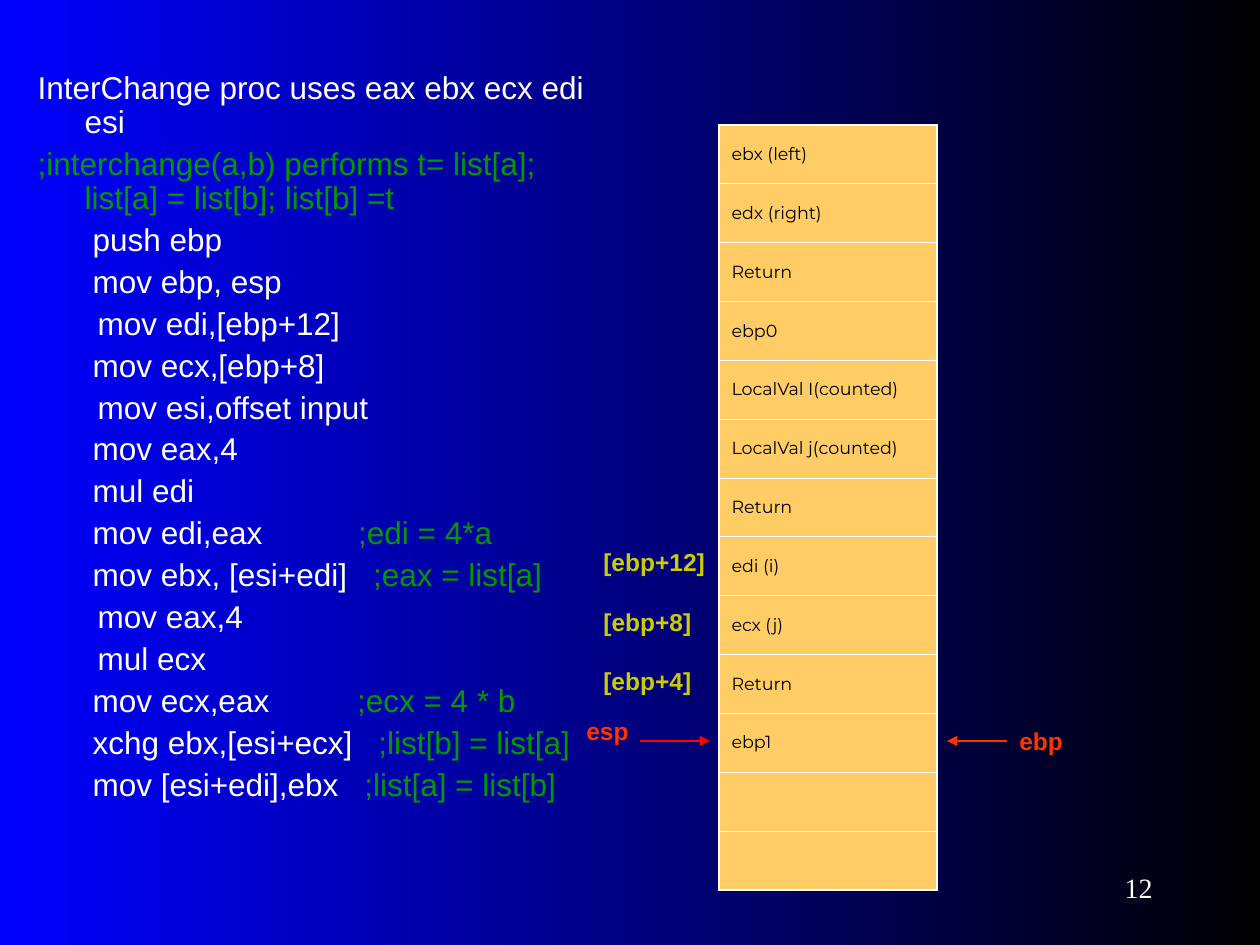
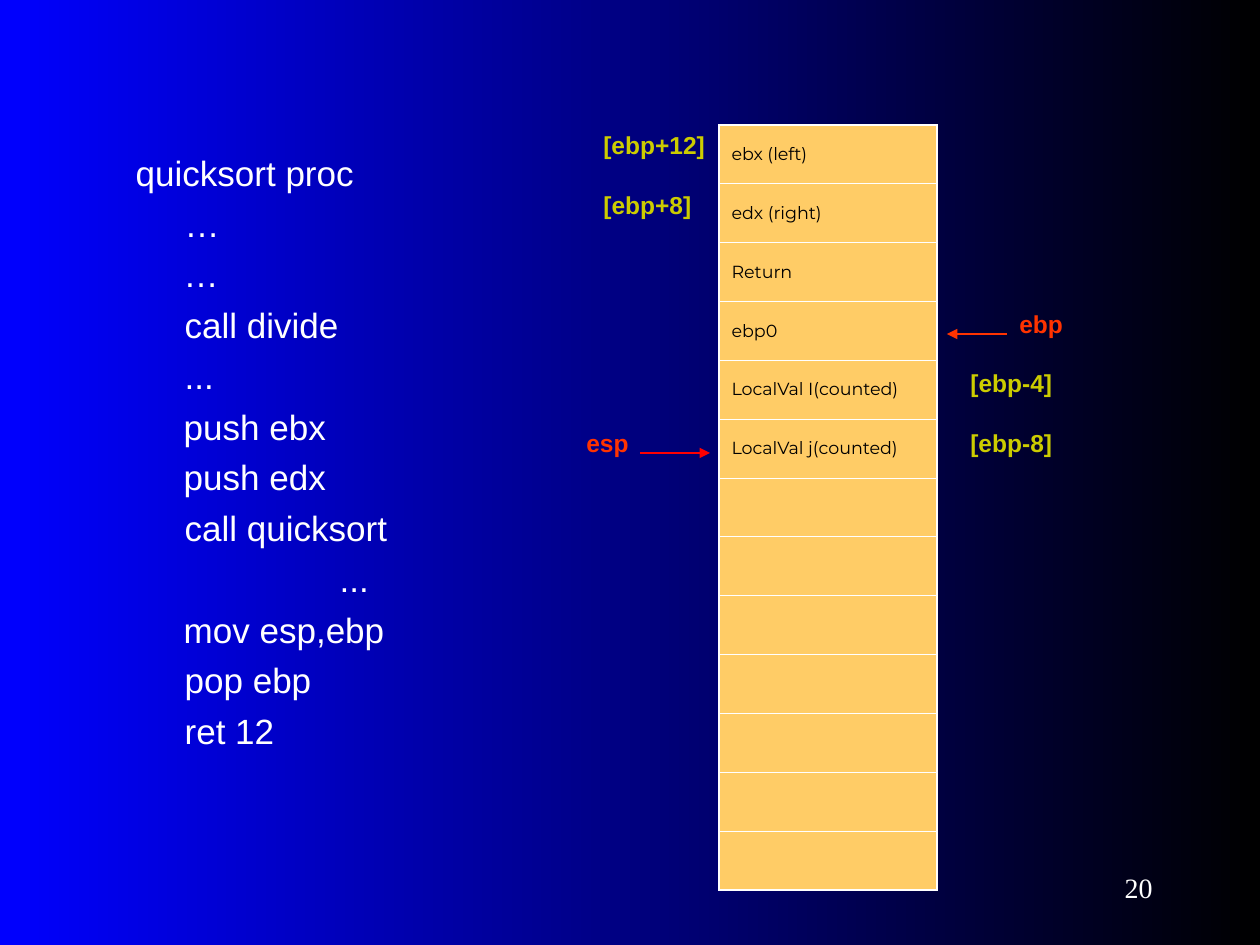
"""Build two slides that trace the call stack of a quicksort program."""
from pptx import Presentation
from pptx.dml.color import RGBColor
from pptx.enum.shapes import MSO_CONNECTOR
from pptx.enum.text import MSO_ANCHOR, MSO_AUTO_SIZE, PP_ALIGN
from pptx.oxml import parse_xml
from pptx.oxml.ns import nsdecls
from pptx.util import Emu, Pt

EMU_PER_PX = 914400 / 126
EMU_PER_SPACING_UNIT = 127
STRAIGHT = MSO_CONNECTOR.STRAIGHT
TOP, MIDDLE = MSO_ANCHOR.TOP, MSO_ANCHOR.MIDDLE
RIGHT = PP_ALIGN.RIGHT
NO_FIT = MSO_AUTO_SIZE.NONE

WHITE, BLACK, BLUE = "FFFFFF", "000000", "0000FF"
GREEN, YELLOW, ORANGE = "009900", "CCCC00", "FFCC66"
RED, VERMILION = "FF0000", "FF3300"

STACK_SIZE = 13
HANG = 47
FRAME = ["ebx (left)", "edx (right)", "Return", "ebp0",
         "LocalVal I(counted)", "LocalVal j(counted)"]
CALL_FRAME = ["Return", "edi (i)", "ecx (j)", "Return", "ebp1"]

INTERCHANGE = [
    (0, "InterChange proc uses eax ebx ecx edi esi"),
    (0, "", ";interchange(a,b) performs t= list[a]; list[a] = list[b]; list[b] =t"),
    (55, "push ebp"),
    (55, "mov ebp, esp"),
    (60, "mov edi,[ebp+12]"),
    (55, "mov ecx,[ebp+8]"),
    (60, "mov esi,offset input"),
    (55, "mov eax,4"),
    (55, "mul edi"),
    (55, "mov edi,eax", ";edi = 4*a", 87),
    (55, "mov ebx, [esi+edi]", ";eax = list[a]", 17),
    (60, "mov eax,4"),
    (60, "mul ecx"),
    (55, "mov ecx,eax", ";ecx = 4 * b", 79),
    (55, "xchg ebx,[esi+ecx]", ";list[b] = list[a]", 17),
    (55, "mov [esi+edi],ebx", ";list[a] = list[b]", 17),
]
QUICKSORT = [
    (0, "quicksort proc"),
    (49, "…"),
    (48, "…"),
    (49, "call divide"),
    (49, "..."),
    (48, "push ebx"),
    (48, "push edx"),
    (49, "call quicksort"),
    (204, "..."),
    (48, "mov esp,ebp"),
    (49, "pop ebp"),
    (49, "ret 12"),
]


def px(length):
    """Turn pixels into EMU."""
    return Emu(round(length * EMU_PER_PX))


def rgb(value):
    """Turn a hex string into a colour."""
    return RGBColor.from_string(value)


def write(para, text, font="Arial", size=14, color=WHITE, bold=False, tracking=0):
    """Add one formatted span of text to a paragraph."""
    span = para.add_run()
    span.text = text
    span.font.name = font
    span.font.size = Pt(size)
    span.font.bold = bold
    span.font.color.rgb = rgb(color)
    if tracking:
        spacing = round(px(tracking) / EMU_PER_SPACING_UNIT)
        span._r.get_or_add_rPr().set("spc", str(spacing))


def label_top(row):
    """Give the top of the label beside a stack row."""
    return round(115 + 59.6 * row)


class StackDeck:
    """Hold the deck style and the current page."""

    def __init__(self):
        """Set the page size and the shared background."""
        self.deck = Presentation()
        self.deck.slide_width, self.deck.slide_height = px(1260), px(945)
        fill = self.deck.slide_master.background.fill
        fill.gradient()
        fill.gradient_angle = 180
        for stop, position, color in zip(fill.gradient_stops, (0, 1), (BLACK, BLUE)):
            stop.position = position
            stop.color.rgb = rgb(color)

    def add_page(self, number):
        """Start a page and write its number."""
        self.page = self.deck.slides.add_slide(self.deck.slide_layouts[1])
        title = self.page.shapes.title
        title.element.getparent().remove(title.element)
        frame = self.add_box(1029, 861, 136, 53)
        frame.vertical_anchor = MIDDLE
        frame.paragraphs[0].alignment = RIGHT
        write(frame.paragraphs[0], str(number), font="Times New Roman", size=16)

    def add_box(self, left, top, width, height):
        """Add a wrapping text box and return its frame."""
        box = self.page.shapes.add_textbox(px(left), px(top), px(width), px(height))
        box.text_frame.word_wrap = True
        return box.text_frame

    def add_code(self, lines, left, top, width, height, size, spacing):
        """Fill the body placeholder with indented code lines."""
        body = self.page.placeholders[1]
        body.left, body.top = px(left), px(top)
        body.width, body.height = px(width), px(height)
        frame = body.text_frame
        frame.auto_size = NO_FIT
        frame.vertical_anchor = TOP
        for index, line in enumerate(lines):
            para = frame.paragraphs[0] if index == 0 else frame.add_paragraph()
            self.add_code_line(para, size, *line)
            para.line_spacing = spacing
            para.space_before = Pt(size / 4 if index else 0)

    def add_code_line(self, para, size, indent, code, comment="", gap=0):
        """Write one line of code and its comment after a widened space."""
        props = para._p.get_or_add_pPr()
        props.set("marL", str(0 if indent else px(HANG)))
        props.set("indent", str(px(indent or -HANG)))
        props.append(parse_xml(f"<a:buNone {nsdecls('a')}/>"))
        if code:
            write(para, code, size=size)
        if gap:
            write(para, " ", size=size, tracking=gap)
        if comment:
            write(para, comment, size=size, color=GREEN)

    def add_stack(self, entries):
        """Draw the stack as a one-column table."""
        table = self.page.shapes.add_table(
            STACK_SIZE, 1, px(719), px(125), px(218), px(765)).table
        table.first_row = table.horz_banding = False
        for row in range(STACK_SIZE):
            cell = table.cell(row, 0)
            cell.vertical_anchor = MIDDLE
            cell.fill.solid()
            cell.fill.fore_color.rgb = rgb(ORANGE)
            self.add_borders(cell, row)
            if row < len(entries):
                write(cell.text_frame.paragraphs[0], entries[row],
                      font="Montserrat", size=10, color=BLACK)

    def add_borders(self, cell, row):
        """Give a cell thick outer and thin inner borders."""
        thick, thin = Pt(1.08), Pt(0.45)
        widths = {"L": thick, "R": thick,
                  "T": thick if row == 0 else thin,
                  "B": thick if row == STACK_SIZE - 1 else thin}
        props = cell._tc.get_or_add_tcPr()
        for index, (side, width) in enumerate(widths.items()):
            props.insert(index, parse_xml(
                f'<a:ln{side} {nsdecls("a")} w="{width}"><a:solidFill>'
                f'<a:srgbClr val="{WHITE}"/></a:solidFill></a:ln{side}>'))

    def add_label(self, text, left, top, width, color=YELLOW):
        """Write a bold label beside the stack."""
        frame = self.add_box(left, top, width, 67)
        frame.margin_top = frame.margin_bottom = px(19)
        write(frame.paragraphs[0], text, color=color, bold=True)

    def add_arrow(self, start, end, level, color):
        """Draw a level arrow from start to end."""
        arrow = self.page.shapes.add_connector(
            STRAIGHT, px(start), px(level), px(end), px(level))
        arrow.line.color.rgb = rgb(color)
        arrow.line.width = Pt(0.75)
        arrow.line._get_or_add_ln().append(
            parse_xml(f'<a:tailEnd {nsdecls("a")} type="triangle"/>'))
        arrow._element.spPr.append(parse_xml(f"<a:effectLst {nsdecls('a')}/>"))

    def add_pointers(self, esp_level, ebp_level, ebp_row):
        """Mark where esp and ebp point in the stack."""
        self.add_arrow(640, 710, esp_level, RED)
        self.add_label("esp", 574, esp_level - 40, 86, VERMILION)
        self.add_arrow(1007, 947, ebp_level, VERMILION)
        self.add_label("ebp", 1007, label_top(ebp_row), 86, VERMILION)

    def add_offsets(self, left, offsets):
        """Label stack rows with their offsets from ebp."""
        for row, text, width in offsets:
            self.add_label(text, left, label_top(row), width)


def main():
    """Build both pages and save the deck."""
    deck = StackDeck()

    deck.add_page(12)
    deck.add_code(INTERCHANGE, 25, 66, 595, 843, size=18, spacing=0.9)
    deck.add_stack(FRAME + CALL_FRAME)
    deck.add_pointers(esp_level=741, ebp_level=741, ebp_row=10)
    deck.add_offsets(591, [(9, "[ebp+4]", 137), (8, "[ebp+8]", 118),
                           (7, "[ebp+12]", 166)])

    deck.add_page(20)
    deck.add_code(QUICKSORT, 123, 145, 495, 753, size=20, spacing=1.0)
    deck.add_stack(FRAME)
    deck.add_pointers(esp_level=453, ebp_level=334, ebp_row=3)
    deck.add_offsets(591, [(1, "[ebp+8]", 118), (0, "[ebp+12]", 166)])
    deck.add_offsets(958, [(4, "[ebp-4]", 118), (5, "[ebp-8]", 149)])

    deck.deck.save("out.pptx")


if __name__ == "__main__":
    main()
